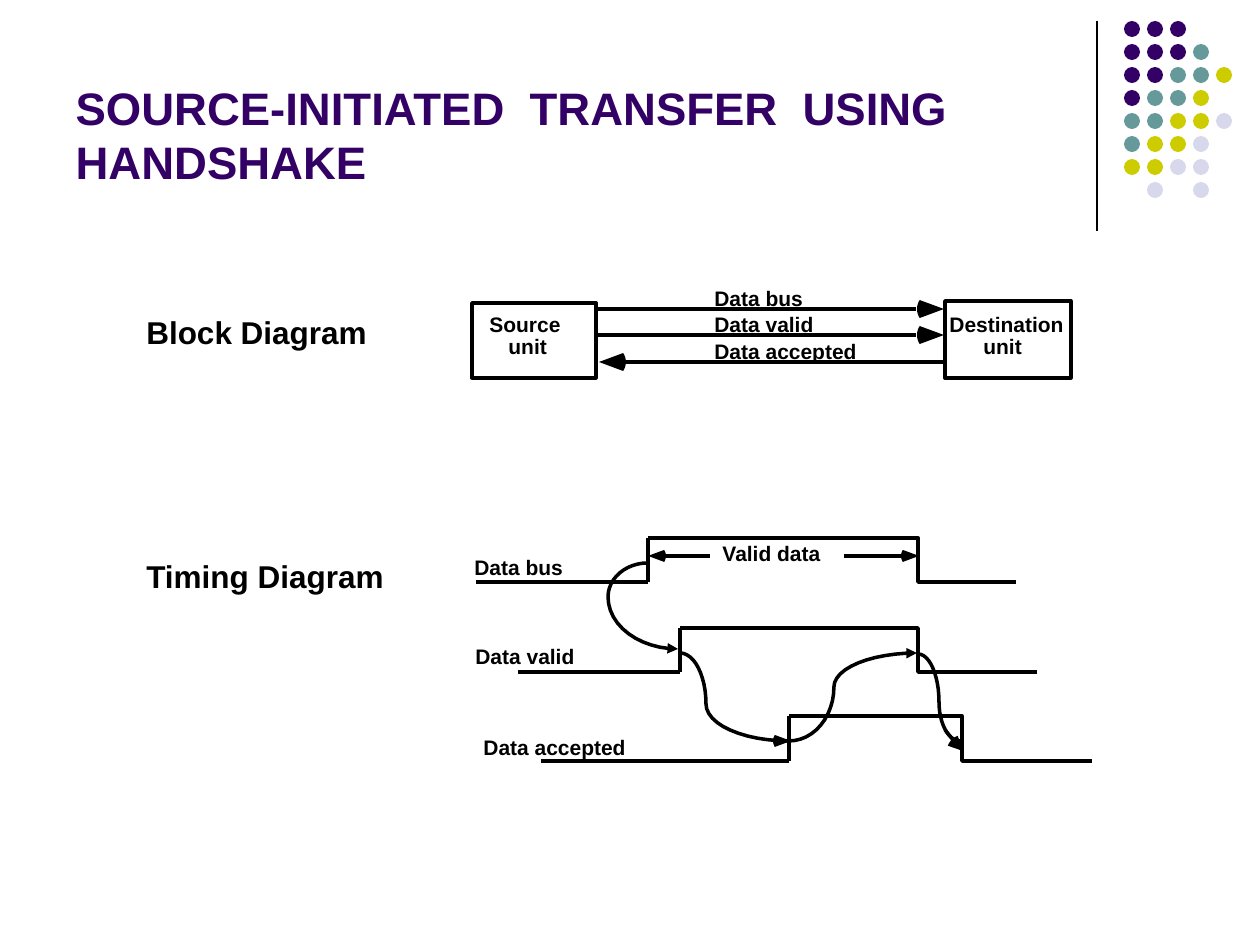
from math import cos, pi, radians, sin

from pptx import Presentation
from pptx.dml.color import RGBColor
from pptx.enum.shapes import MSO_CONNECTOR, MSO_SHAPE
from pptx.enum.text import MSO_ANCHOR, MSO_AUTO_SIZE, PP_ALIGN
from pptx.oxml.ns import qn
from pptx.util import Pt
from lxml.etree import SubElement

SCALE = 914400 / 126
BLACK, WHITE, PURPLE = "000000", "FFFFFF", "330066"
DOT_COLORS = {"P": PURPLE, "T": "669999", "Y": "CCCC00", "L": "D8D8EC"}
DOT_ROWS = ["PPP", "PPPT", "PPTTY", "PTTY", "TTYYL", "TYYL", "YYLL", " L L"]


def px(length):
    return round(length * SCALE)


def rgb(color):
    return RGBColor.from_string(color)


class Diagram:
    font_name = "Arial"
    line_width = 2

    def __init__(self, slide):
        self.slide = slide
        self.shapes = slide.shapes

    def style_text(self, paragraph, text, size, color=BLACK):
        paragraph.text = text
        paragraph.alignment = PP_ALIGN.LEFT
        font = paragraph.font
        font.name, font.size, font.bold = self.font_name, Pt(size), True
        font.color.rgb = rgb(color)

    def style_shape(self, shape, fill=None, line=None):
        shape.shadow.inherit = False
        if fill:
            shape.fill.solid()
            shape.fill.fore_color.rgb = rgb(fill)
        else:
            shape.fill.background()
        if line:
            shape.line.color.rgb = rgb(line)
            shape.line.width = Pt(self.line_width)
        else:
            shape.line.fill.background()

    def title(self, text, left, top, width, height):
        title = self.shapes.title
        title.left, title.top = px(left), px(top)
        title.width, title.height = px(width), px(height)
        frame = title.text_frame
        frame.vertical_anchor = MSO_ANCHOR.BOTTOM
        frame.auto_size = MSO_AUTO_SIZE.NONE
        self.style_text(frame.paragraphs[0], text, 26, PURPLE)

    def label(self, text, left, top, width, height=35, size=12):
        box = self.shapes.add_textbox(px(left), px(top), px(width), px(height))
        frame = box.text_frame
        frame.word_wrap = False
        frame.auto_size = MSO_AUTO_SIZE.NONE
        self.style_text(frame.paragraphs[0], text, size)
        frame.paragraphs[0].line_spacing = 0.9

    def shape(self, kind, left, top, width, height, fill=None, line=None):
        shape = self.shapes.add_shape(kind, px(left), px(top), px(width), px(height))
        self.style_shape(shape, fill, line)

    def line(self, x1, y1, x2, y2, width=line_width):
        connector = self.shapes.add_connector(
            MSO_CONNECTOR.STRAIGHT, px(x1), px(y1), px(x2), px(y2))
        connector.line.color.rgb = rgb(BLACK)
        connector.line.width = Pt(width)
        SubElement(connector.element.spPr, qn("a:effectLst"))

    def outline(self, points, fill=None, line=None, closed=False):
        points = [(px(x), px(y)) for x, y in points]
        builder = self.shapes.build_freeform(*points[0], scale=1.0)
        builder.add_line_segments(points[1:], close=closed)
        shape = builder.convert_to_shape()
        self.style_shape(shape, fill, line)
        return shape

    def arrowhead(self, x, y, length, half_width, angle=0):
        turn = radians(angle)
        points = [(x, y)]
        for step in range(-4, 5):
            across = step / 4
            along = 0.1 * length * across ** 2 - length
            side = half_width * across
            points.append((x + along * cos(turn) - side * sin(turn),
                           y + along * sin(turn) + side * cos(turn)))
        self.outline(points, fill=BLACK, closed=True)

    def curve(self, start, middle, end, arrow=False):
        (x0, y0), (x1, y1), (x2, y2) = start, middle, end
        turns = [pi / 2 * step / 12 for step in range(13)]
        points = [(x0 + (x1 - x0) * sin(t), y1 + (y0 - y1) * cos(t)) for t in turns]
        points += [(x2 + (x1 - x2) * cos(t), y1 + (y2 - y1) * sin(t)) for t in turns[1:]]
        shape = self.outline(points, line=BLACK)
        if arrow:
            line = shape.element.spPr.find(qn("a:ln"))
            SubElement(line, qn("a:tailEnd"), type="triangle")

    def waveform(self, start, rise, fall, end, high, low):
        self.line(start, low, rise, low)
        self.line(rise, high, rise, low)
        self.outline([(rise, high), (fall, high), (fall, low), (end, low)], line=BLACK)


def main():
    presentation = Presentation()
    presentation.slide_width, presentation.slide_height = px(1260), px(945)
    slide = presentation.slides.add_slide(presentation.slide_layouts[5])
    diagram = Diagram(slide)

    diagram.line(1097, 21, 1097, 231, 0.75)
    for row, dots in enumerate(DOT_ROWS):
        for column, dot in enumerate(dots):
            if dot in DOT_COLORS:
                diagram.shape(MSO_SHAPE.OVAL, 1124 + 23 * column, 21 + 23 * row,
                              16, 16, DOT_COLORS[dot])

    diagram.title("SOURCE-INITIATED  TRANSFER  USING  HANDSHAKE", 63, 16, 1040, 179)
    diagram.label("Block Diagram", 134, 311, 250, 47, 18)
    diagram.label("Timing Diagram", 134, 555, 267, 47, 18)

    for y in (309, 335):
        diagram.line(597, y, 916, y)
        diagram.arrowhead(944, y, 27, 9)
    diagram.line(622, 362, 945, 362)
    diagram.arrowhead(599, 362, 27, 9, 180)
    diagram.shape(MSO_SHAPE.RECTANGLE, 472, 303, 124, 75, WHITE, BLACK)
    diagram.shape(MSO_SHAPE.RECTANGLE, 945, 301, 126, 77, line=BLACK)

    for text, left, top, width in [
        ("Source", 477, 308, 100), ("unit", 496, 330, 68),
        ("Destination", 937, 308, 144), ("unit", 971, 330, 68),
        ("Data bus", 702, 282, 118), ("Data valid", 702, 308, 130),
        ("Data accepted", 702, 335, 172),
        ("Data bus", 462, 551, 118), ("Data valid", 463, 640, 130),
        ("Data accepted", 471, 731, 172), ("Valid data", 710, 537, 130),
    ]:
        diagram.label(text, left, top, width)

    diagram.waveform(476, 648, 918, 1016, 538, 582)
    diagram.waveform(518, 680, 918, 1037, 628, 672)
    diagram.waveform(541, 789, 962, 1092, 716, 761)

    diagram.line(664, 556, 710, 556)
    diagram.arrowhead(648, 556, 18, 6, 180)
    diagram.line(844, 556, 905, 556)
    diagram.arrowhead(919, 556, 18, 6)

    diagram.curve((648, 563), (608, 597), (678, 649), arrow=True)
    diagram.curve((680, 653), (706, 704), (789, 741))
    diagram.arrowhead(791, 741, 18, 6)
    diagram.curve((789, 741), (834, 687), (917, 653), arrow=True)
    diagram.curve((918, 654), (939, 702), (960, 741))
    diagram.line(945, 730, 954, 741)
    diagram.arrowhead(963, 751, 16, 7, 45)

    presentation.save("out.pptx")


if __name__ == "__main__":
    main()
